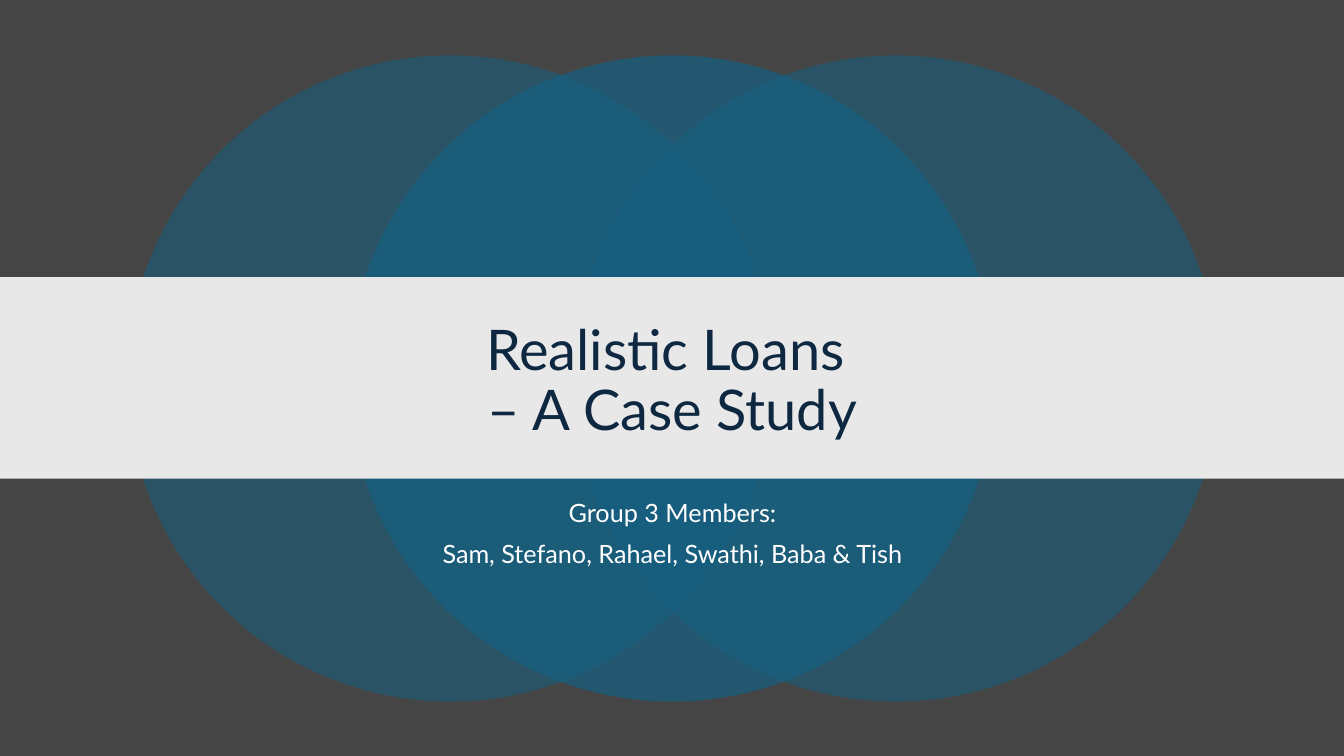
"""Build the title slide of the Realistic Loans case study."""
from lxml import etree
from pptx import Presentation
from pptx.dml.color import RGBColor
from pptx.enum.shapes import MSO_SHAPE as SHAPE
from pptx.enum.text import MSO_ANCHOR as ANCHOR, MSO_AUTO_SIZE as FIT, PP_ALIGN as ALIGN
from pptx.oxml.ns import qn
from pptx.util import Inches, Pt

GREY = RGBColor(0x45, 0x45, 0x45)
TEAL = RGBColor(0x15, 0x60, 0x82)
PALE = RGBColor(0xE8, 0xE8, 0xE8)
NAVY = RGBColor(0x0E, 0x28, 0x41)
WHITE = RGBColor(0xFF, 0xFF, 0xFF)


def write(tf, lines, size, color, anchor=ANCHOR.TOP, before=0):
    tf.word_wrap = True
    tf.auto_size = FIT.NONE
    tf.vertical_anchor = anchor
    tf.text = lines
    for p in tf.paragraphs:
        p.alignment = ALIGN.CENTER
        p.line_spacing = 0.9
        p.space_before = Pt(before)
        for r in p.runs:
            r.font.name = "Lato"
            r.font.size = Pt(size)
            r.font.color.rgb = color


def paint(sp, color, opacity=100):
    sp.shadow.inherit = False
    sp.fill.solid()
    sp.fill.fore_color.rgb = color
    sp.line.fill.background()
    if opacity < 100:
        clr = sp.fill._xPr.find(qn("a:solidFill"))[0]
        etree.SubElement(clr, qn("a:alpha"), val=str(opacity * 1000))


prs = Presentation()
prs.slide_width, prs.slide_height = Inches(13.33), Inches(7.5)
s = prs.slides.add_slide(prs.slide_layouts[5])
s.background.fill.solid()
s.background.fill.fore_color.rgb = GREY

circles = s.shapes.add_group_shape()
for left, opacity in [(1.26, 55), (5.68, 55), (3.46, 70)]:
    sp = circles.shapes.add_shape(
        SHAPE.OVAL, Inches(left), Inches(0.55), Inches(6.41), Inches(6.41))
    paint(sp, TEAL, opacity)

band = s.shapes.add_shape(SHAPE.RECTANGLE, 0, Inches(2.75), prs.slide_width, Inches(2))
paint(band, PALE)

title = s.shapes.title
title.left, title.top = Inches(1.67), Inches(3.04)
title.width, title.height = Inches(10), Inches(1.51)
s.shapes._spTree.append(title._element)
write(title.text_frame, "Realistic Loans \v– A Case Study", 40, NAVY, ANCHOR.MIDDLE)

members = s.shapes.add_textbox(Inches(1.67), Inches(4.92), Inches(10), Inches(0.83))
write(members.text_frame,
      "Group 3 Members:\nSam, Stefano, Rahael, Swathi, Baba & Tish",
      18, WHITE, before=10)

prs.save("out.pptx")
